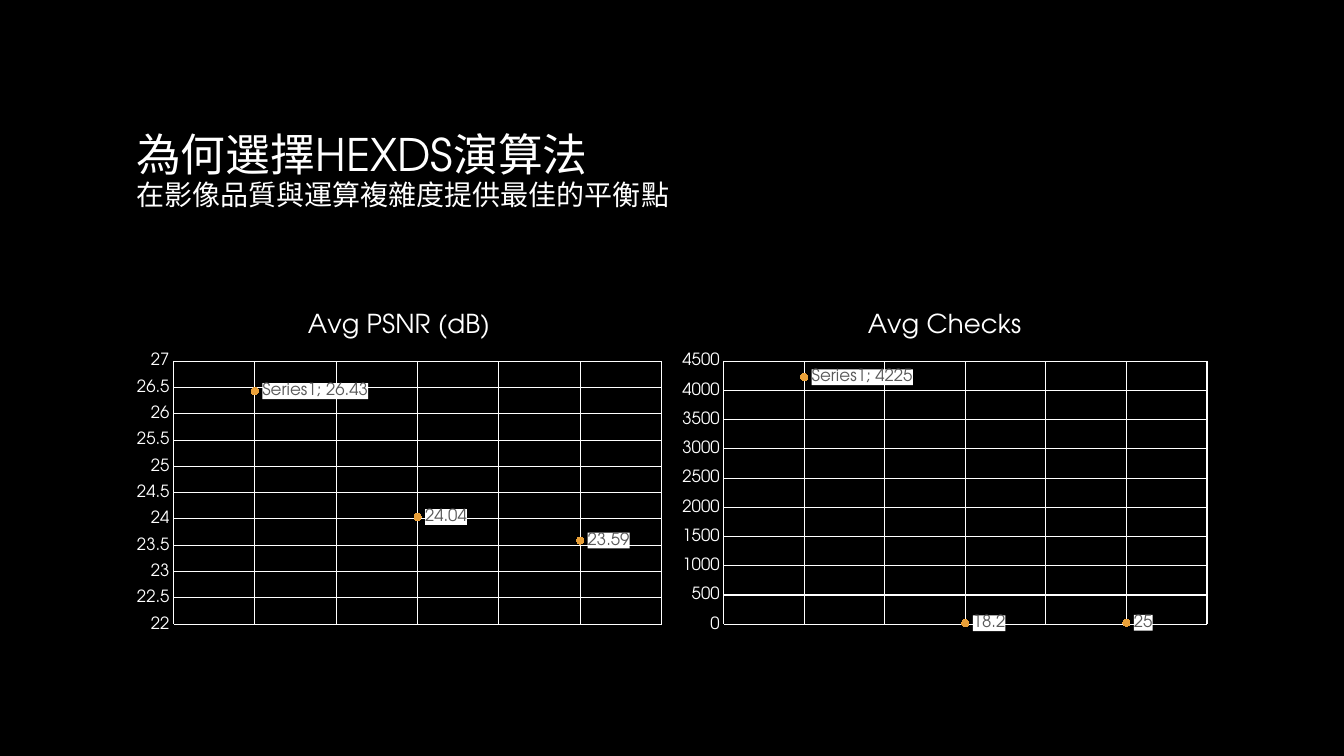
from lxml import etree
from pptx import Presentation
from pptx.chart.data import XyChartData
from pptx.dml.color import RGBColor
from pptx.enum.chart import XL_CHART_TYPE, XL_LABEL_POSITION, XL_MARKER_STYLE, XL_TICK_MARK
from pptx.enum.text import MSO_ANCHOR, MSO_AUTO_SIZE, PP_ALIGN
from pptx.oxml import parse_xml
from pptx.oxml.ns import nsdecls, qn
from pptx.util import Inches, Pt

SCATTER = XL_CHART_TYPE.XY_SCATTER
LABEL_RIGHT = XL_LABEL_POSITION.RIGHT
CIRCLE = XL_MARKER_STYLE.CIRCLE
NO_TICK = XL_TICK_MARK.NONE
MIDDLE = MSO_ANCHOR.MIDDLE
NO_AUTOFIT = MSO_AUTO_SIZE.NONE
LEFT = PP_ALIGN.LEFT

BLACK = RGBColor(0x00, 0x00, 0x00)
WHITE = RGBColor(0xFF, 0xFF, 0xFF)
ORANGE = RGBColor(0xE9, 0xA0, 0x39)
GRAY = RGBColor(0x59, 0x59, 0x59)
FONT = "TeX Gyre Adventor"


def style_font(font, size, color):
    font.name = FONT
    font.size = Pt(size)
    font.bold = False
    font.color.rgb = color


def add_span(para, text, size, color=WHITE):
    span = para.add_run()
    span.text = text
    style_font(span.font, size, color)


def write_title(title):
    title.left, title.top = Inches(1.25), Inches(0.67)
    title.width, title.height = Inches(10.83), Inches(2.08)
    frame = title.text_frame
    frame.auto_size = NO_AUTOFIT
    frame.word_wrap = True
    frame.vertical_anchor = MIDDLE
    para = frame.paragraphs[0]
    para.alignment = LEFT
    para.line_spacing = 0.9
    add_span(para, "為何選擇HEXDS演算法", 32)
    para.add_line_break()
    add_span(para, "在影像品質與運算複雜度提供最佳的平衡點", 20)


def style_axis(axis, low, high, step):
    axis.minimum_scale, axis.maximum_scale, axis.major_unit = low, high, step
    axis.major_tick_mark = axis.minor_tick_mark = NO_TICK
    axis.has_major_gridlines = True
    for line in (axis.format.line, axis.major_gridlines.format.line):
        line.color.rgb = WHITE
        line.width = Pt(0.75)
    style_font(axis.tick_labels.font, 12, WHITE)


def fill_label(label_xml):
    """Give a data label a white box."""
    box = parse_xml(f'<c:spPr {nsdecls("c", "a")}><a:solidFill>'
                    f'<a:srgbClr val="{WHITE}"/></a:solidFill></c:spPr>')
    for old_box in label_xml.findall(qn("c:spPr")):
        label_xml.remove(old_box)
    followers = {qn(f"c:{name}") for name in ("txPr", "dLblPos", "showLegendKey")}
    follower = next(child for child in label_xml if child.tag in followers)
    follower.addprevious(box)


def label_points(series, values):
    """Show each value beside its point; the first also names the series."""
    for index, value in enumerate(values):
        label = series.points[index].data_label
        if index == 0:
            add_span(label.text_frame.paragraphs[0], f"Series1; {value}", 12, GRAY)
        else:
            style_font(label.font, 12, GRAY)
        label.position = LABEL_RIGHT
    for label_xml in series._element.iter(qn("c:dLbl")):
        fill_label(label_xml)


def add_scatter(slide, left, name, values, low, high, step):
    data = XyChartData()
    points = data.add_series(name)
    for position, value in enumerate(values, start=1):
        points.add_data_point(position, value)
    chart = slide.shapes.add_chart(SCATTER, Inches(left), Inches(2.92),
                                   Inches(5.42), Inches(3.42), data).chart
    style_font(chart.font, 10, WHITE)
    chart.has_legend = False
    chart.has_title = True
    add_span(chart.chart_title.text_frame.paragraphs[0], name, 18.6)
    chart.chart_title.include_in_layout = False

    style_axis(chart.category_axis, 0.5, 3.5, 0.5)
    chart.category_axis.visible = False
    style_axis(chart.value_axis, low, high, step)

    chart.plots[0].vary_by_categories = False
    series = chart.plots[0].series[0]
    series.format.line.fill.background()
    smooth = series._element.find(qn("c:smooth"))
    if smooth is None:
        smooth = etree.SubElement(series._element, qn("c:smooth"))
    smooth.set("val", "0")
    marker = series.marker
    marker.style = CIRCLE
    marker.size = 5
    marker.format.fill.solid()
    marker.format.fill.fore_color.rgb = ORANGE
    marker.format.line.color.rgb = ORANGE
    label_points(series, values)


def main():
    deck = Presentation()
    deck.slide_width, deck.slide_height = Inches(13.33), Inches(7.5)
    slide = deck.slides.add_slide(deck.slide_layouts[5])
    slide.background.fill.solid()
    slide.background.fill.fore_color.rgb = BLACK
    write_title(slide.shapes.title)
    add_scatter(slide, 1.25, "Avg PSNR (dB)", (26.43, 24.04, 23.59), 22, 27, 0.5)
    add_scatter(slide, 6.66, "Avg Checks", (4225, 18.2, 25), 0, 4500, 500)
    deck.save("out.pptx")


if __name__ == "__main__":
    main()
